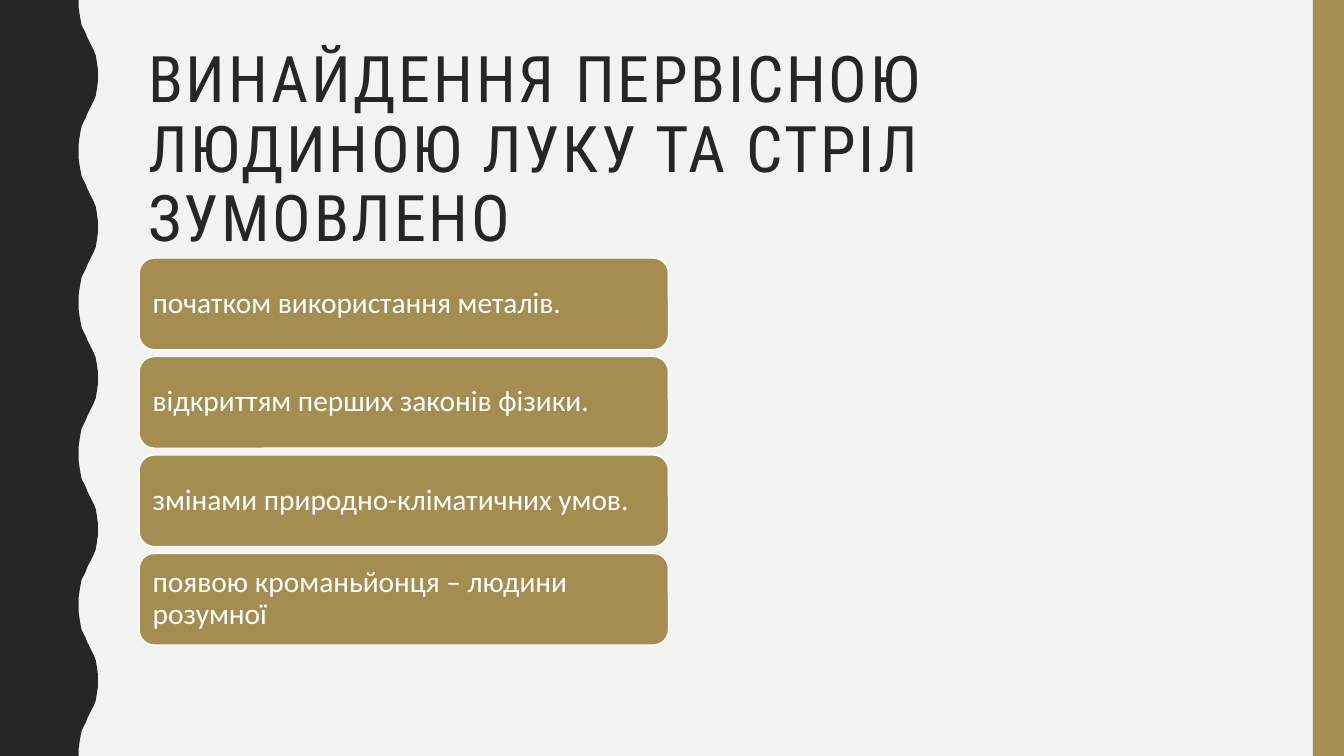
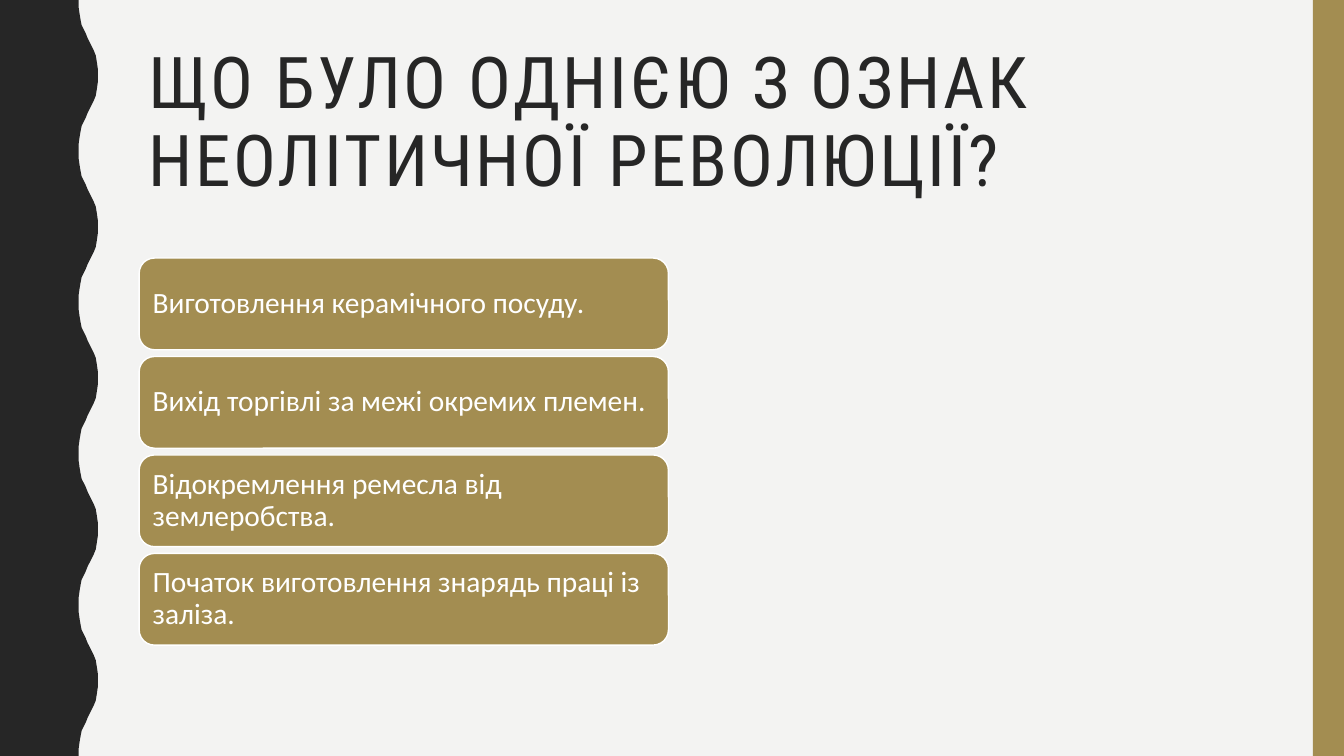
import pptx
import pptx.util
import pptx.dml.color
import pptx.enum.shapes
import pptx.enum.text
from dataclasses import dataclass

# Content: title, title size in points, answers
SLIDES = [
    ("ВИНАЙДЕННЯ ПЕРВІСНОЮ ЛЮДИНОЮ ЛУКУ ТА СТРІЛ ЗУМОВЛЕНО", 45.9, [
        "початком використання металів.",
        "відкриттям перших законів фізики.",
        "змінами природно-кліматичних умов.",
        "появою кроманьйонця – людини розумної",
    ]),
    ("ЩО БУЛО ОДНІЄЮ З ОЗНАК НЕОЛІТИЧНОЇ РЕВОЛЮЦІЇ?", 51, [
        "Виготовлення керамічного посуду.",
        "Вихід торгівлі за межі окремих племен.",
        "Відокремлення ремесла від землеробства.",
        "Початок виготовлення знарядь праці із заліза.",
    ]),
]


@dataclass(frozen=True)
class Theme:
    paper: str = "F3F3F2"
    ink: str = "262626"
    gold: str = "A38D51"
    white: str = "FFFFFF"
    title_font: str = "Roboto Condensed"
    body_font: str = "Calibri"
    body_size: float = 21
    title_spacing: int = 200  # hundredths of a point
    line_spacing: float = 0.9


THEME = Theme()
inch = pptx.util.Inches
WIDTH, HEIGHT = 13.33, 7.5
BAND_WIDTH = 0.31
TITLE_AREA = (1.37, 0.42, 11.13, 1.63)
# Answer column: left, top, width, bottom, height of one box
LEFT, TOP, COLUMN_WIDTH, BOTTOM, BOX_HEIGHT = 1.38, 2.56, 5.25, 6.4, 0.91

# Half a wave as (x, y) in hundredths of an inch; it is mirrored down the edge
HALF_WAVE = [(78, 0), (78, 7), (79, 14), (80, 20), (81, 25), (83, 29), (85, 33),
             (87, 38), (89, 42), (91, 46), (93, 50), (95, 55), (96, 61), (97, 68),
             (97, 75)]
WAVE_LENGTH, WAVE_COUNT = 150, 5


def color(code):
    return pptx.dml.color.RGBColor.from_string(code)


def paint(shape, fill, line=None):
    shape.shadow.inherit = False
    shape.fill.solid()
    shape.fill.fore_color.rgb = color(fill)
    if line:
        shape.line.color.rgb = color(line)
        shape.line.width = pptx.util.Pt(1)
    else:
        shape.line.fill.background()


def write(shape, text, font, size, ink, anchor):
    frame = shape.text_frame
    frame.word_wrap = True
    frame.vertical_anchor = anchor
    para = frame.paragraphs[0]
    para.text = text
    para.alignment = pptx.enum.text.PP_ALIGN.LEFT
    para.line_spacing = THEME.line_spacing
    para.font.name = font
    para.font.size = pptx.util.Pt(size)
    para.font.color.rgb = color(ink)
    return frame


def add_frame(page):
    """Background, wavy left edge and right band."""
    page.background.fill.solid()
    page.background.fill.fore_color.rgb = color(THEME.paper)
    wave = HALF_WAVE + [(x, WAVE_LENGTH - y) for x, y in HALF_WAVE[-2::-1]]
    edge = [(x, y + WAVE_LENGTH * turn) for turn in range(WAVE_COUNT) for x, y in wave]
    builder = page.shapes.build_freeform(0, 0, scale=inch(0.01))
    builder.add_line_segments(edge + [(0, WAVE_LENGTH * WAVE_COUNT)], close=True)
    paint(builder.convert_to_shape(), THEME.ink)
    band = page.shapes.add_shape(
        pptx.enum.shapes.MSO_SHAPE.RECTANGLE,
        inch(WIDTH - BAND_WIDTH), 0, inch(BAND_WIDTH), inch(HEIGHT))
    paint(band, THEME.gold)


def add_title(page, text, size):
    box = page.shapes.add_textbox(*map(inch, TITLE_AREA))
    frame = write(box, text, THEME.title_font, size, THEME.ink,
                  pptx.enum.text.MSO_ANCHOR.TOP)
    for span in frame.paragraphs[0].runs:
        span._r.get_or_add_rPr().set("spc", str(THEME.title_spacing))


def add_answers(page, answers):
    pitch = (BOTTOM - TOP - BOX_HEIGHT) / (len(answers) - 1)
    for row, answer in enumerate(answers):
        box = page.shapes.add_shape(
            pptx.enum.shapes.MSO_SHAPE.ROUNDED_RECTANGLE,
            inch(LEFT), inch(TOP + row * pitch), inch(COLUMN_WIDTH), inch(BOX_HEIGHT))
        paint(box, THEME.gold, THEME.white)
        frame = write(box, answer, THEME.body_font, THEME.body_size, THEME.white,
                      pptx.enum.text.MSO_ANCHOR.MIDDLE)
        frame.margin_left = frame.margin_right = inch(0.09)
        frame.margin_top = frame.margin_bottom = inch(0.09)


def main():
    deck = pptx.Presentation()
    deck.slide_width, deck.slide_height = inch(WIDTH), inch(HEIGHT)
    for title, size, answers in SLIDES:
        page = deck.slides.add_slide(deck.slide_layouts[6])
        add_frame(page)
        add_title(page, title, size)
        add_answers(page, answers)
    deck.save("out.pptx")


if __name__ == "__main__":
    main()
